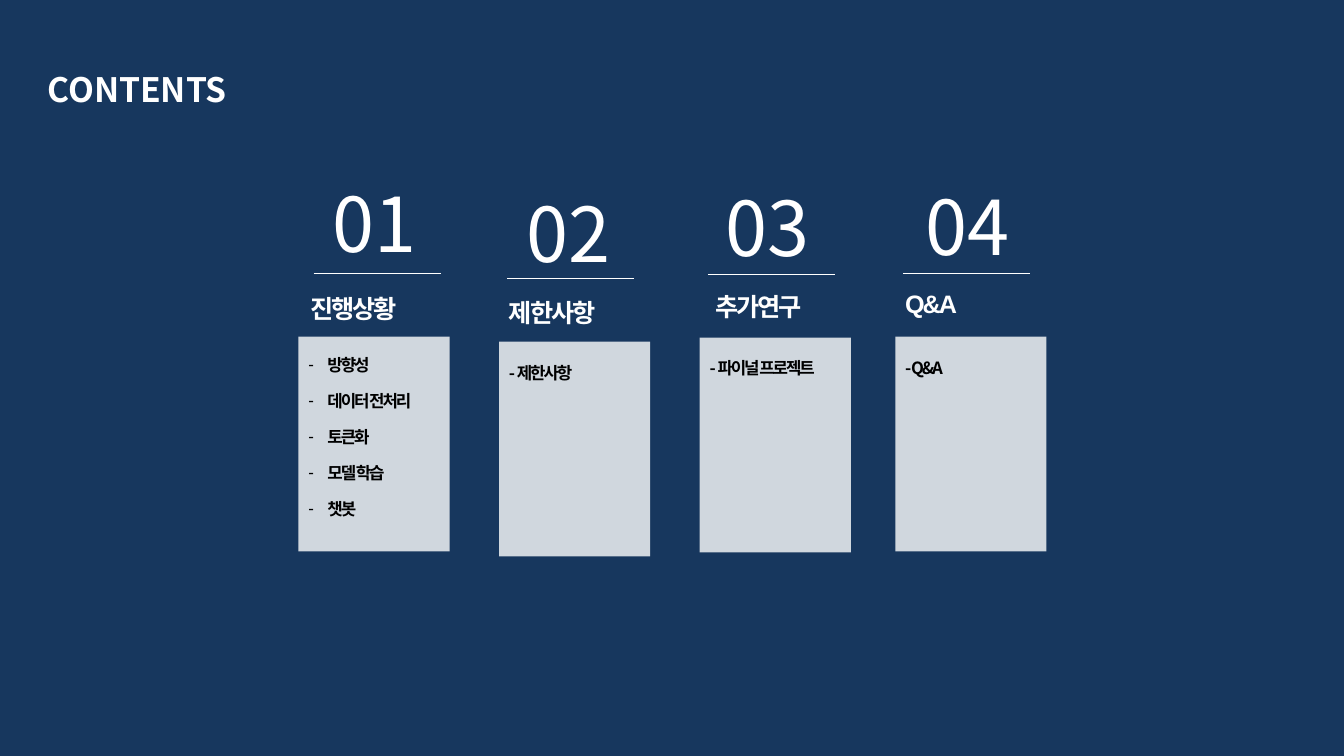
from lxml import etree
from pptx import Presentation
from pptx.dml.color import RGBColor
from pptx.enum.shapes import MSO_CONNECTOR, MSO_SHAPE
from pptx.enum.text import MSO_ANCHOR, MSO_AUTO_SIZE, PP_ALIGN
from pptx.oxml.ns import qn
from pptx.util import Pt

LINE = MSO_CONNECTOR.STRAIGHT
RECT = MSO_SHAPE.RECTANGLE
TOP = MSO_ANCHOR.TOP
FIXED = MSO_AUTO_SIZE.NONE
LEFT = PP_ALIGN.LEFT

PX = 9144  # 100 px to the inch
COLORS = {"navy": "17375E", "white": "FFFFFF", "black": "000000"}
NOTO = "Noto Sans CJK KR"
HANG = 19

# Text formats
TITLE = {"size": Pt(24), "name": NOTO, "bold": True}
NUM = {"size": Pt(54), "name": NOTO, "bold": False}
HEAD = {"size": Pt(18), "name": "Arial", "bold": True}
ITEM = {"size": Pt(12), "name": NOTO, "bold": True}

# Card size, and the rule above it
CARD_W, CARD_H = 150, 213
RULE_W, RULE_UP = 126, 63

# Each part: card corner, rule shift, then number, heading and item offsets
PARTS = [
    {"at": (296, 334), "rule": 15, "num": (24, -163), "head": (2, -48),
     "item": (0, 13), "title": "진행상황",
     "list": ["방향성", "데이터 전처리", "토큰화", "모델 학습", "챗봇"]},
    {"at": (495, 339), "rule": 8, "num": (17, -159), "head": (0, -49),
     "item": (0, 16), "title": "제한사항", "list": ["- 제한사항"]},
    {"at": (694, 335), "rule": 8, "num": (16, -160), "head": (6, -51),
     "item": (0, 15), "title": "추가연구", "list": ["- 파이널 프로젝트"]},
    {"at": (888, 334), "rule": 8, "num": (20, -160), "head": (0, -53),
     "item": (0, 16), "title": "Q&A", "list": ["- Q&A"]},
]


def px(*vals):
    return [val * PX for val in vals]


def rgb(key):
    return RGBColor.from_string(COLORS[key])


def add_dash(para):
    props = para._p.get_or_add_pPr()
    props.set("marL", str(HANG * PX))
    props.set("indent", str(-HANG * PX))
    etree.SubElement(props, qn("a:buFont"), typeface="Arial")
    etree.SubElement(props, qn("a:buChar"), char="-")


def fill_text(shape, lines, form, color, track=0):
    frame = shape.text_frame
    frame.word_wrap = True
    frame.auto_size = FIXED
    frame.vertical_anchor = TOP
    for i, line in enumerate(lines):
        para = frame.add_paragraph() if i else frame.paragraphs[0]
        para.alignment = LEFT
        if len(lines) > 1:
            add_dash(para)
        if i:
            para.space_before = Pt(11.3)
        run = para.add_run()
        run.text = line
        for key, val in form.items():
            setattr(run.font, key, val)
        run.font.color.rgb = rgb(color)
        props = run._r.get_or_add_rPr()
        etree.SubElement(props, qn("a:ea"), typeface=NOTO)
        if track:
            props.set("spc", str(track))


def add_text(slide, x, y, w, h, lines, form, color, track=0):
    box = slide.shapes.add_textbox(*px(x, y, w, h))
    fill_text(box, lines, form, color, track)


def add_card(slide, x, y):
    card = slide.shapes.add_shape(RECT, *px(x, y, CARD_W, CARD_H))
    card.shadow.inherit = False
    card.line.fill.background()
    card.fill.solid()
    card.fill.fore_color.rgb = rgb("white")
    tone = card._element.spPr.find(".//" + qn("a:srgbClr"))
    etree.SubElement(tone, qn("a:alpha"), val="80000")


def add_rule(slide, x, y):
    rule = slide.shapes.add_connector(LINE, *px(x, y, x + RULE_W, y))
    rule.line.color.rgb = rgb("white")
    rule.line.width = Pt(0.75)
    etree.SubElement(rule._element.spPr, qn("a:effectLst"))


def add_part(slide, num, part):
    x, y = part["at"]
    add_card(slide, x, y)
    add_rule(slide, x + part["rule"], y - RULE_UP)
    texts = [
        ("num", 120, 101, [f"{num:02}"], NUM, "white", 0),
        ("head", 126, 40, [part["title"]], HEAD, "white", -150),
        ("item", 157, 190, part["list"], ITEM, "black", -150),
    ]
    for key, w, h, *rest in texts:
        dx, dy = part[key]
        add_text(slide, x + dx, y + dy, w, h, *rest)


def main():
    deck = Presentation()
    deck.slide_width, deck.slide_height = px(1333, 750)
    slide = deck.slides.add_slide(deck.slide_layouts[5])

    # Background
    back = slide.background.fill
    back.solid()
    back.fore_color.rgb = rgb("navy")

    # Title
    title = slide.shapes.title
    title.left, title.top, title.width, title.height = px(37, 63, 457, 50)
    fill_text(title, ["CONTENTS"], TITLE, "white")

    # Four parts
    for num, part in enumerate(PARTS, 1):
        add_part(slide, num, part)

    deck.save("out.pptx")


if __name__ == "__main__":
    main()
